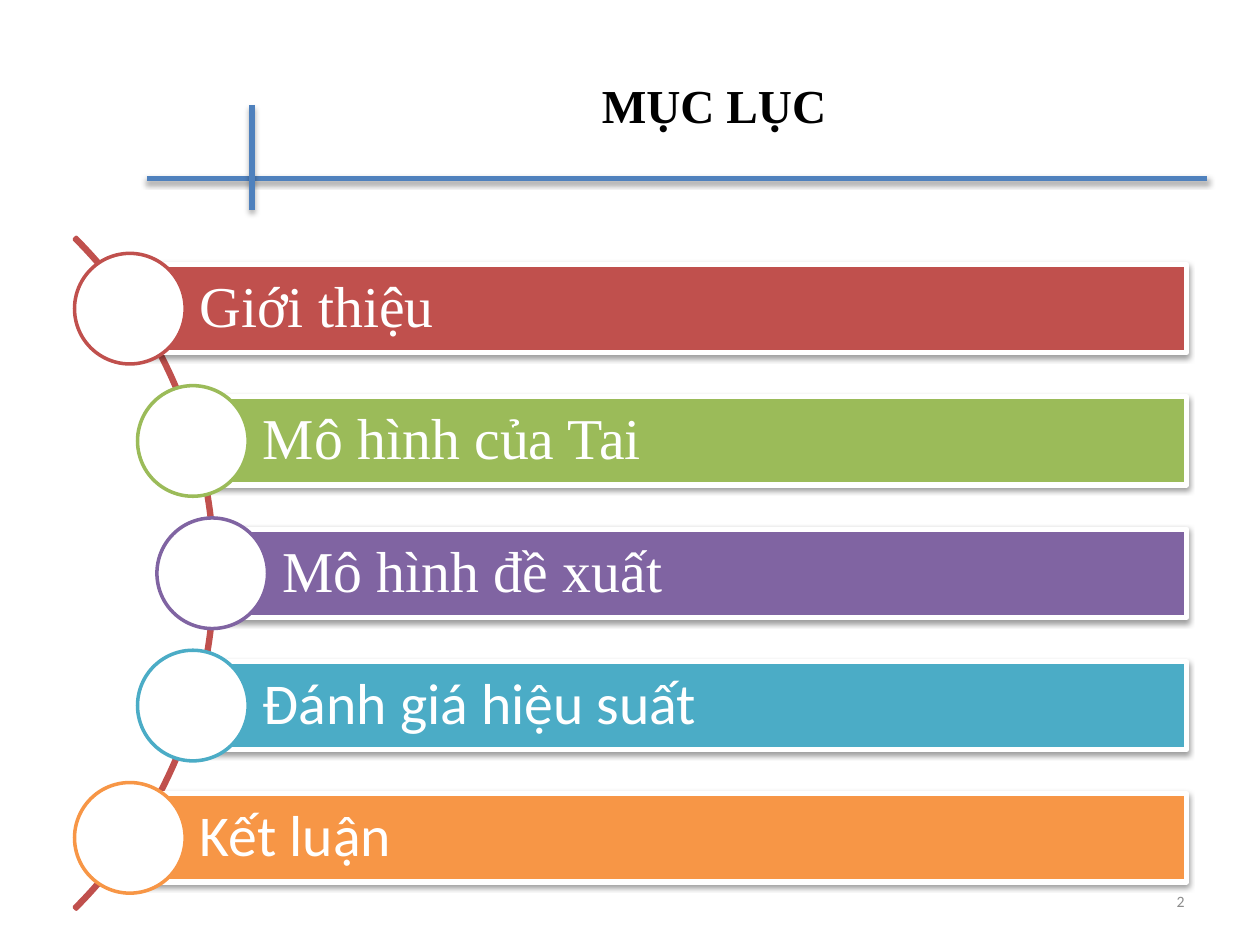
from lxml import etree
from pptx import Presentation
from pptx.dml.color import RGBColor
from pptx.enum import shapes as kinds, text
from pptx.oxml import parse_xml
from pptx.oxml.ns import nsdecls, qn
from pptx.util import Pt

SERIF, SANS = "Times New Roman", "Calibri"
ITEMS = [
    ("Giới thiệu", SERIF, "C0504D", 74.2),
    ("Mô hình của Tai", SERIF, "9BBB59", 110.2),
    ("Mô hình đề xuất", SERIF, "8064A2", 121.3),
    ("Đánh giá hiệu suất", SANS, "4BACC6", 110.2),
    ("Kết luận", SANS, "F79646", 74.2),
]
RIGHT, FIRST, STEP = 678.2, 176.4, 75.6
BAR, DISC, ARC = 50.4, 63.2, 542.9


def rgb(code):
    return RGBColor.from_string(code)


def shade(shape, dist, alpha):
    props = shape._element.spPr
    for old in props.findall(qn("a:effectLst")):
        props.remove(old)
    props.append(parse_xml(
        f'<a:effectLst {nsdecls("a")}>'
        f'<a:outerShdw blurRad="{Pt(3.1)}" dist="{Pt(dist)}" dir="5400000" rotWithShape="0">'
        f'<a:srgbClr val="000000"><a:alpha val="{alpha * 1000}"/></a:srgbClr>'
        '</a:outerShdw></a:effectLst>'))


def rule(slide, *ends):
    line = slide.shapes.add_connector(
        kinds.MSO_CONNECTOR.STRAIGHT, *[Pt(v) for v in ends])
    line.line.color.rgb = rgb("4F81BD")
    line.line.width = Pt(3)
    shade(line, 1.8, 35)


def draw(slide, kind, box, fill, edge, width):
    shape = slide.shapes.add_shape(kind, *[Pt(v) for v in box])
    shape.shadow.inherit = False
    if fill:
        shape.fill.solid()
        shape.fill.fore_color.rgb = rgb(fill)
    else:
        shape.fill.background()
    shape.line.color.rgb = rgb(edge)
    shape.line.width = Pt(width)
    return shape


def style(par, face, size, color, align, bold=False):
    par.alignment = align
    par.font.name = face
    par.font.size = Pt(size)
    par.font.bold = bold
    par.font.color.rgb = rgb(color)


def head(slide, words):
    title = slide.shapes.title
    title.left, title.top = Pt(84), Pt(15)
    title.width, title.height = Pt(648), Pt(90)
    frame = title.text_frame
    frame.text = words
    frame.auto_size = text.MSO_AUTO_SIZE.NONE
    frame.vertical_anchor = text.MSO_ANCHOR.MIDDLE
    style(frame.paragraphs[0], SERIF, 27, "000000", text.PP_ALIGN.CENTER, True)


def entry(slide, row, words, face, color, left):
    mid = FIRST + row * STEP
    bar = draw(slide, kinds.MSO_SHAPE.RECTANGLE,
               (left, mid - BAR / 2, RIGHT - left, BAR), color, "FFFFFF", 3)
    shade(bar, 1.6, 38)
    frame = bar.text_frame
    frame.text = words
    frame.word_wrap = True
    frame.vertical_anchor = text.MSO_ANCHOR.MIDDLE
    frame.margin_left = Pt(40)
    frame.margin_right = frame.margin_top = frame.margin_bottom = Pt(6.5)
    par = frame.paragraphs[0]
    par.line_spacing = 0.9
    style(par, face, 33, "FFFFFF", text.PP_ALIGN.LEFT)
    draw(slide, kinds.MSO_SHAPE.OVAL,
         (left - DISC / 2, mid - DISC / 2, DISC, DISC), "FFFFFF", color, 2)


def number(slide):
    box = slide.shapes.add_textbox(Pt(516), Pt(500.4), Pt(168), Pt(28.8))
    frame = box.text_frame
    frame.word_wrap = True
    frame.vertical_anchor = text.MSO_ANCHOR.MIDDLE
    par = frame.paragraphs[0]
    style(par, SANS, 9, "8C8C8C", text.PP_ALIGN.RIGHT)
    field = etree.SubElement(par._p, qn("a:fld"), type="slidenum",
                             id="{B6F15528-21DE-4FAA-801E-634DDDAF4B2B}")
    etree.SubElement(field, qn("a:rPr"), lang="vi-VN")
    etree.SubElement(field, qn("a:t")).text = "2"


def main():
    deck = Presentation()
    deck.slide_width, deck.slide_height = Pt(720), Pt(540)
    deck.element.set("firstSlideNum", "2")
    slide = deck.slides.add_slide(deck.slide_layouts[5])
    rule(slide, 84, 102, 690, 102)
    rule(slide, 144, 60, 144, 120)
    head(slide, "MỤC LỤC")
    mid = FIRST + STEP * (len(ITEMS) - 1) / 2
    arc = draw(slide, kinds.MSO_SHAPE.BLOCK_ARC,
               (-419.8, mid - ARC / 2, ARC, ARC), None, "C0504D", 2)
    for spot, value in enumerate((189, 27, 0.003)):
        arc.adjustments[spot] = value
    for row, item in enumerate(ITEMS):
        entry(slide, row, *item)
    number(slide)
    deck.save("out.pptx")


if __name__ == "__main__":
    main()
